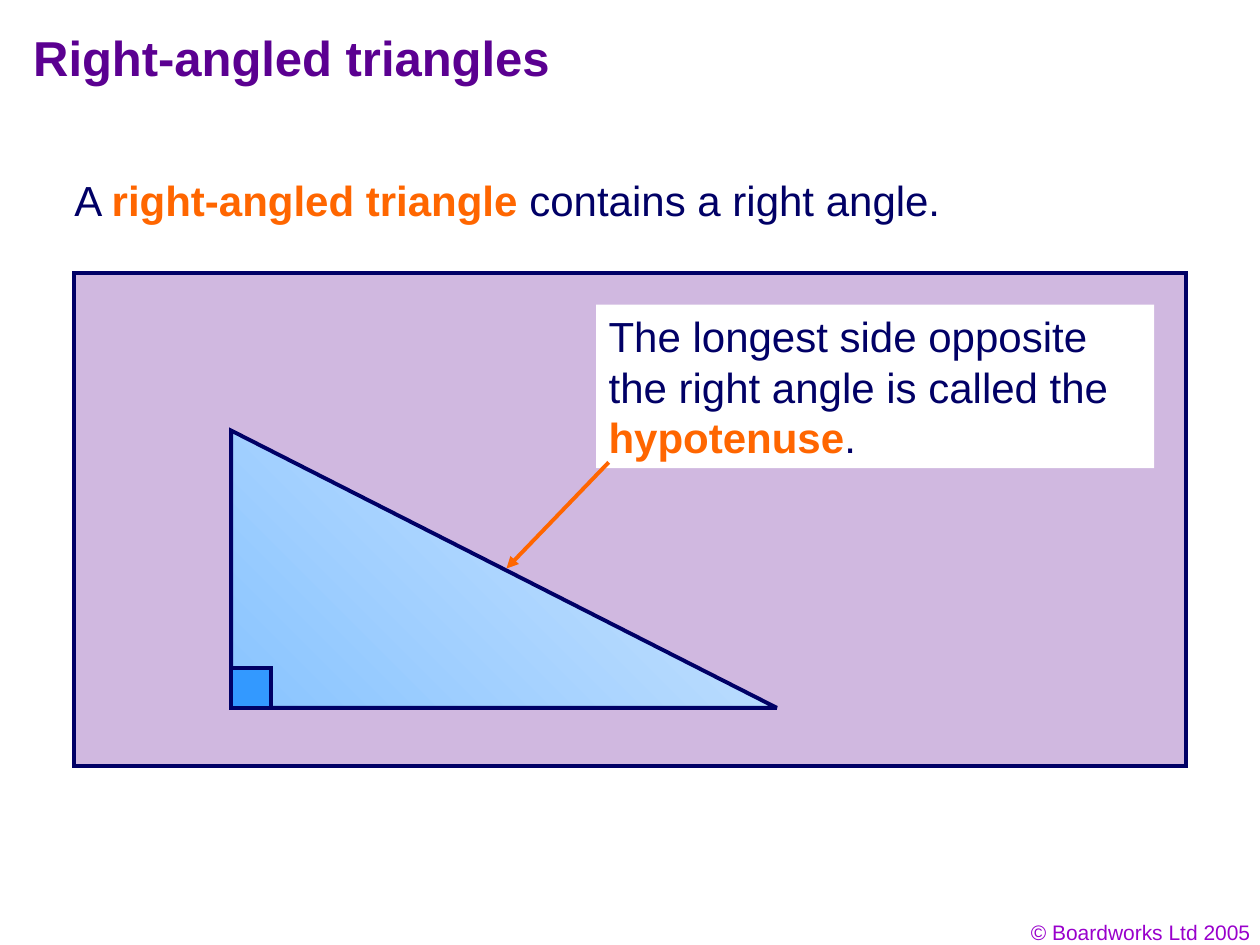
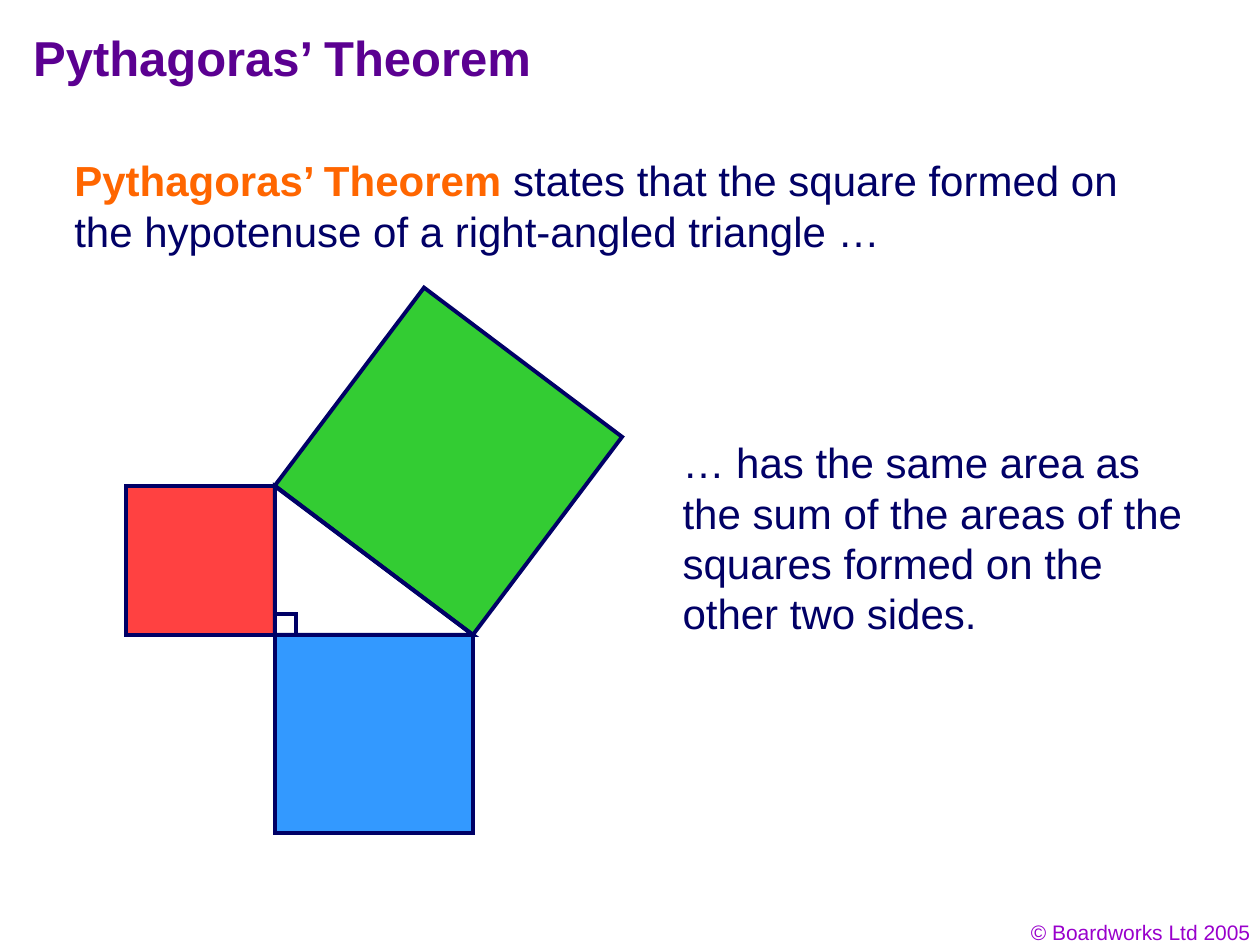
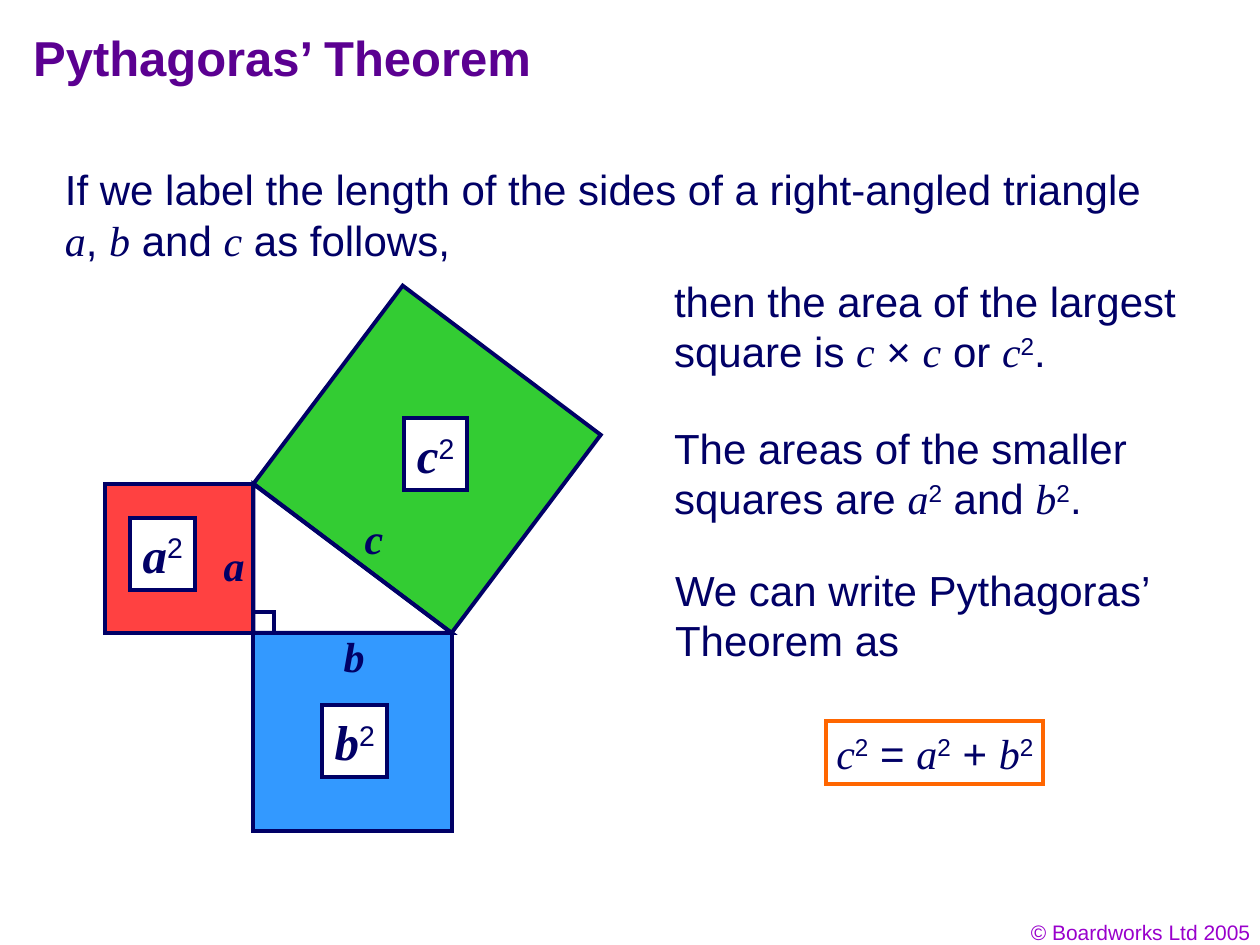
from dataclasses import dataclass
from typing import NamedTuple, Optional

from lxml.etree import SubElement
from pptx import Presentation
from pptx.dml.color import RGBColor
from pptx.enum.shapes import MSO_CONNECTOR as CONN, MSO_SHAPE as SHAPE
from pptx.enum.text import MSO_ANCHOR as ANCHOR, MSO_AUTO_SIZE as AUTO, PP_ALIGN as ALIGN
from pptx.oxml.ns import qn
from pptx.util import Cm, Pt

INK, OUTLINE, ACCENT, WHITE = "010066", "000066", "FF6600", "FFFFFF"
PURPLE, VIOLET, LILAC = "5B0091", "9900CC", "D0B8E0"
RED, GREEN, BLUE = "FF4141", "33CC33", "3399FF"
SKY_LIGHT, SKY_DARK = "D1E7FE", "89C4FF"
SANS, SERIF = "Arial", "Times New Roman"
LINE_WIDTH = Pt(2.25)


class Box(NamedTuple):
    """Left, top, width and height in centimetres."""
    x: float
    y: float
    w: float
    h: float


@dataclass(frozen=True)
class Run:
    """A stretch of text in one style."""
    text: str
    color: str = INK
    bold: bool = False
    italic: bool = False
    font: str = SANS
    raised: bool = False


@dataclass(frozen=True)
class Label:
    """A text placed on a slide."""
    box: Box
    runs: list[Run]
    size: int = 24
    align: ALIGN = ALIGN.LEFT
    wrap: bool = True
    grow: bool = True
    fill: Optional[str] = None
    line: Optional[str] = None


def key(text: str) -> Run:
    """Return a highlighted term."""
    return Run(text, ACCENT, bold=True)


def var(text: str, bold: bool = False) -> Run:
    """Return an algebraic variable."""
    return Run(text, bold=bold, italic=True, font=SERIF)


SQUARED = Run("2", raised=True)


def rgb(value: str) -> RGBColor:
    """Turn a hex string into a colour."""
    return RGBColor.from_string(value)


def paint(sp, fill: Optional[str], line: Optional[str]) -> None:
    """Set the fill and sharp-cornered outline of a shape."""
    if fill:
        sp.fill.solid()
        sp.fill.fore_color.rgb = rgb(fill)
    else:
        sp.fill.background()
    if line:
        sp.line.color.rgb = rgb(line)
        sp.line.width = LINE_WIDTH
        SubElement(sp.line._get_or_add_ln(), qn("a:miter"), lim="800000")
    else:
        sp.line.fill.background()


def add_shape(s, box: Box, fill: Optional[str] = None, line: Optional[str] = OUTLINE,
              kind: SHAPE = SHAPE.RECTANGLE):
    """Draw a preset shape without shadow."""
    sp = s.shapes.add_shape(kind, *map(Cm, box))
    sp.shadow.inherit = False
    paint(sp, fill, line)
    return sp


def add_label(s, label: Label) -> None:
    """Draw a text box; centred text sits in the middle without side margins."""
    sp = s.shapes.add_textbox(*map(Cm, label.box))
    paint(sp, label.fill, label.line)
    tf = sp.text_frame
    tf.word_wrap = label.wrap
    tf.auto_size = AUTO.SHAPE_TO_FIT_TEXT if label.grow else AUTO.NONE
    if label.align == ALIGN.CENTER:
        tf.margin_left = tf.margin_right = 0
        tf.vertical_anchor = ANCHOR.MIDDLE
    p = tf.paragraphs[0]
    p.alignment = label.align
    for run in label.runs:
        r = p.add_run()
        r.text = run.text
        r.font.name, r.font.size = run.font, Pt(label.size)
        r.font.bold, r.font.italic = run.bold, run.italic
        r.font.color.rgb = rgb(run.color)
        if run.raised:
            r._r.get_or_add_rPr().set("baseline", "30000")


def add_centered(s, box: Box, runs: list[Run], size: int = 24,
                 fill: Optional[str] = None, line: Optional[str] = None) -> None:
    """Draw one centred line of text in a box of fixed size."""
    add_label(s, Label(box, runs, size, ALIGN.CENTER, False, False, fill, line))


def add_arrow(s, x1: float, y1: float, x2: float, y2: float) -> None:
    """Draw an accent arrow."""
    c = s.shapes.add_connector(CONN.STRAIGHT, *map(Cm, (x1, y1, x2, y2)))
    c.line.color.rgb = rgb(ACCENT)
    c.line.width = LINE_WIDTH
    SubElement(c.line._get_or_add_ln(), qn("a:tailEnd"), type="triangle")
    SubElement(c._element.spPr, qn("a:effectLst"))


def add_squares(s, x: float, y: float) -> None:
    """Draw a 3-4-5 triangle with its squares; x, y is the right angle."""
    a, b, c, mark = 3, 4, 5, 0.42
    center_x, center_y = x + (a + b) / 2, y - (a + b) / 2
    sp = add_shape(s, Box(center_x - c / 2, center_y - c / 2, c, c), GREEN)
    sp.rotation = 37
    add_shape(s, Box(x, y, b, b), BLUE)
    add_shape(s, Box(x - a, y - a, a, a), RED)
    add_shape(s, Box(x, y - a, b, a), kind=SHAPE.RIGHT_TRIANGLE)
    add_shape(s, Box(x, y - mark, mark, mark))


def add_slide(prs, title: str):
    """Add a slide with the shared title and footer."""
    s = prs.slides.add_slide(prs.slide_layouts[6])
    add_label(s, Label(Box(19.54, 18.41, 5.92, 0.76),
                       [Run("© Boardworks Ltd 2005", VIOLET)], 12, ALIGN.RIGHT))
    add_label(s, Label(Box(0.42, 0.44, 21.59, 1.7),
                       [Run(title, PURPLE, bold=True)], 28, grow=False))
    return s


def triangle_slide(prs) -> None:
    """Build the slide that names the hypotenuse."""
    s = add_slide(prs, "Right-angled triangles")
    add_shape(s, Box(1.49, 5.5, 22.42, 9.95), LILAC)
    add_label(s, Label(Box(1.25, 3.39, 18, 1.27),
                       [Run("A "), key("right-angled triangle"),
                        Run(" contains a right angle.")], wrap=False))
    x, bottom, mark = 4.66, 14.27, 0.8
    sp = add_shape(s, Box(x, bottom - 5.59, 11, 5.59), SKY_LIGHT, kind=SHAPE.RIGHT_TRIANGLE)
    sp.fill.gradient()
    sp.fill.gradient_angle = 225
    for stop, color in zip(sp.fill.gradient_stops, (SKY_LIGHT, SKY_DARK)):
        stop.color.rgb = rgb(color)
    add_shape(s, Box(x, bottom - mark, mark, mark), BLUE)
    add_label(s, Label(Box(12.02, 6.14, 11.25, 3.3),
                       [Run("The longest side opposite the right angle is called the "),
                        key("hypotenuse"), Run(".")], fill=WHITE))
    add_arrow(s, 12.27, 9.32, 10.21, 11.46)


def theorem_slide(prs) -> None:
    """Build the slide that states the theorem."""
    s = add_slide(prs, "Pythagoras’ Theorem")
    add_label(s, Label(Box(1.25, 3, 22.89, 2.29),
                       [key("Pythagoras’ Theorem"),
                        Run(" states that the square formed on the hypotenuse of a "
                            "right-angled triangle …")]))
    add_label(s, Label(Box(13.51, 8.68, 11.05, 4.32),
                       [Run("… has the same area as the sum of the areas of the "
                            "squares formed on the other two sides.")]))
    add_squares(s, 5.54, 12.8)


def formula_slide(prs) -> None:
    """Build the slide that derives the formula."""
    s = add_slide(prs, "Pythagoras’ Theorem")
    a, b, c = map(var, "abc")
    add_squares(s, 5.11, 12.76)
    texts = [
        (Box(1.06, 3.18, 22.89, 2.29),
         [Run("If we label the length of the sides of a right-angled triangle "),
          a, Run(", "), b, Run(" and "), c, Run(" as follows,")]),
        (Box(13.34, 5.43, 11.05, 2.29),
         [Run("then the area of the largest square is "),
          c, Run(" × "), c, Run(" or "), c, SQUARED, Run(".")]),
        (Box(13.34, 8.39, 11, 2.29),
         [Run("The areas of the smaller squares are "),
          a, SQUARED, Run(" and "), b, SQUARED, Run(".")]),
        (Box(13.36, 11.25, 11.2, 2.29), [Run("We can write Pythagoras’ Theorem as")]),
    ]
    for box, runs in texts:
        add_label(s, Label(box, runs))
    for name, x, y in (("a", 4.27, 10.74), ("c", 7.09, 10.21), ("b", 6.69, 12.58)):
        add_centered(s, Box(x, y, 0.9, 1.27), [var(name, True)])
    for name, x, y, w in (("a", 2.62, 10.44, 1.32), ("c", 8.15, 8.43, 1.27),
                          ("b", 6.49, 14.22, 1.32)):
        add_centered(s, Box(x, y, w, 1.45), [var(name, True), SQUARED], 28, WHITE, OUTLINE)
    add_centered(s, Box(16.66, 14.53, 4.37, 1.27),
                 [c, SQUARED, Run(" = "), a, SQUARED, Run(" + "), b, SQUARED], line=ACCENT)


def main() -> None:
    """Build and save the presentation."""
    prs = Presentation()
    prs.slide_width, prs.slide_height = Cm(25.4), Cm(19.05)
    triangle_slide(prs)
    theorem_slide(prs)
    formula_slide(prs)
    prs.save("out.pptx")


if __name__ == "__main__":
    main()
